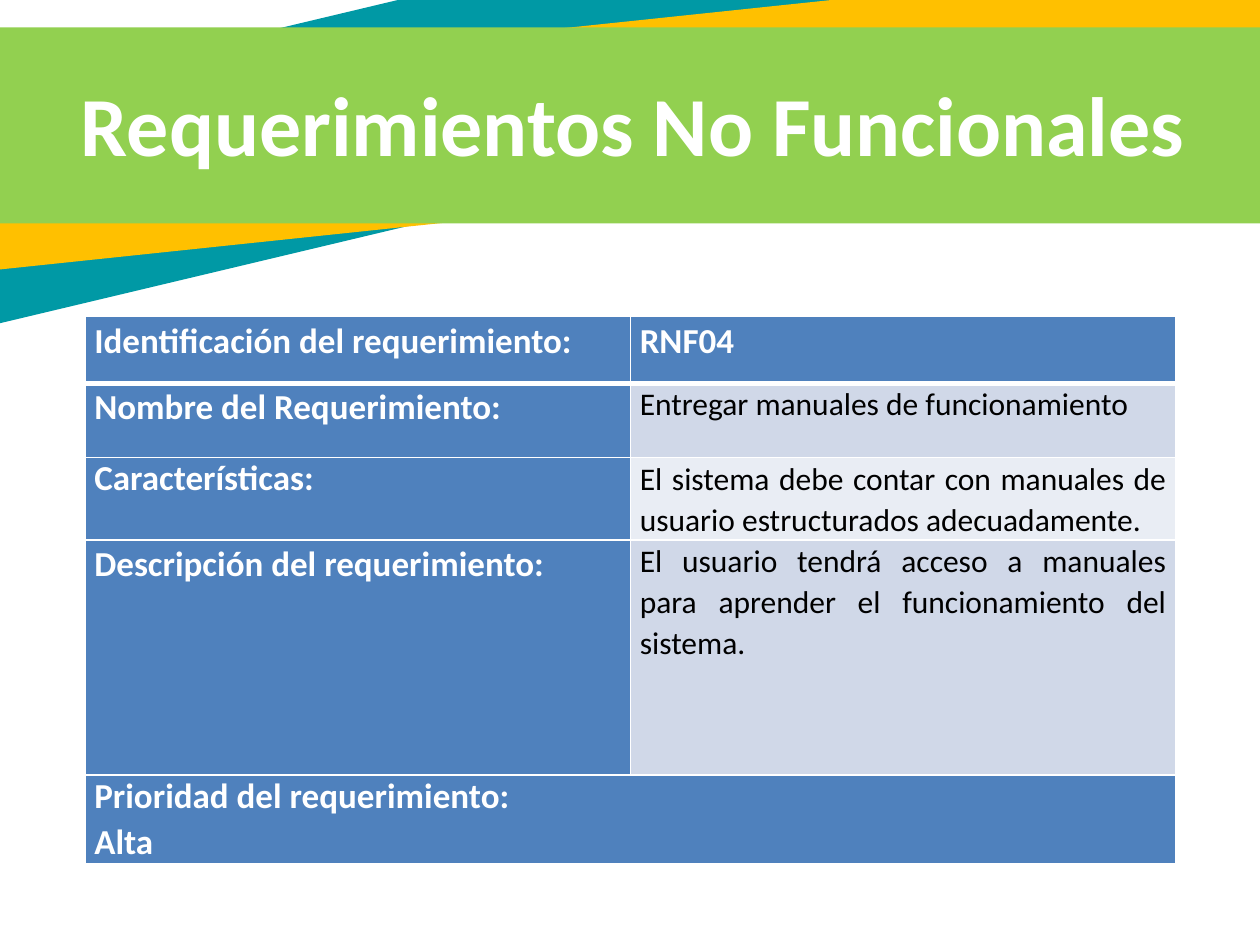
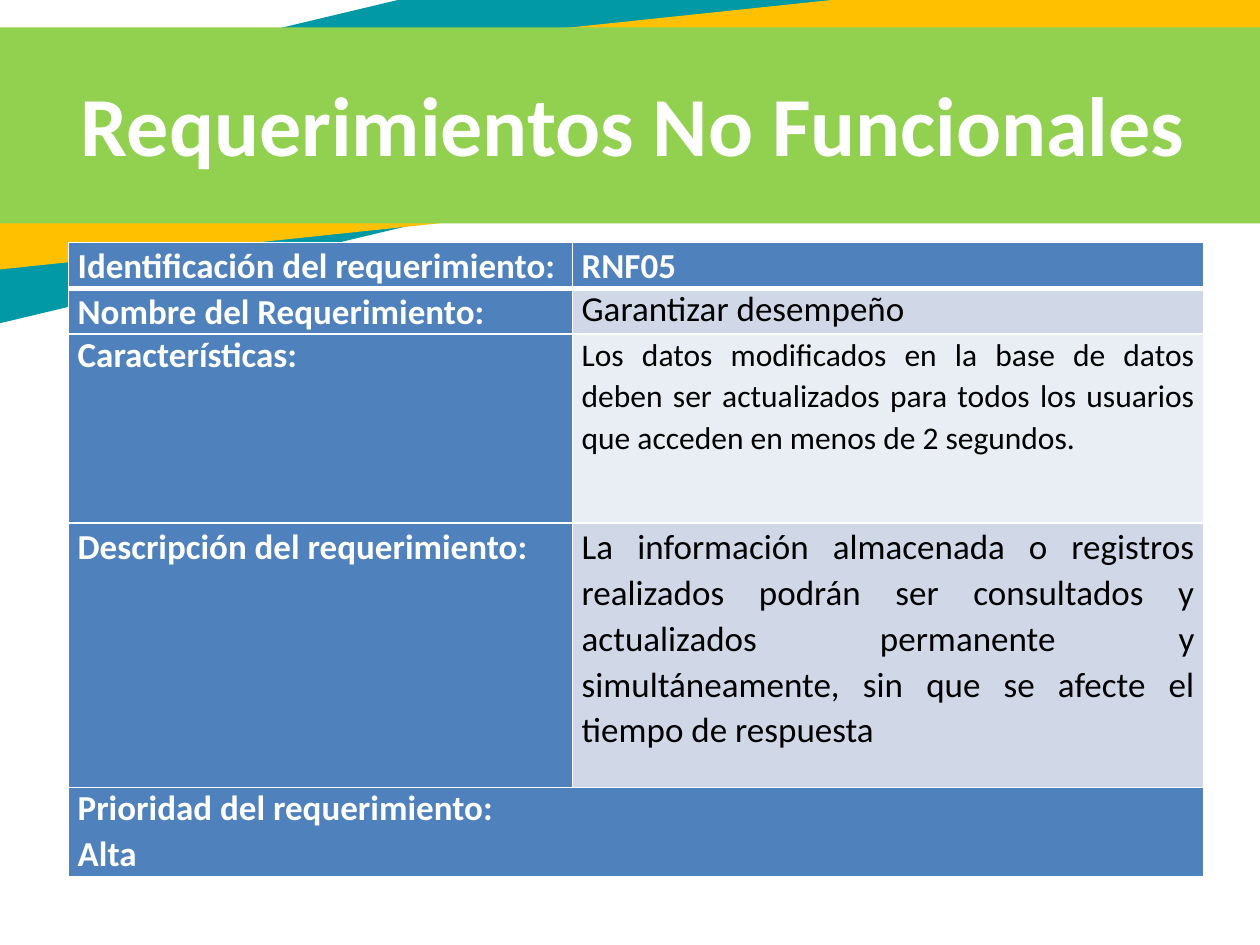
"""Build two slides that tabulate non-functional requirements."""
import pptx
import pptx.dml.color
import pptx.enum.shapes
import pptx.enum.text
import pptx.oxml
import pptx.oxml.ns
import pptx.util

Pt = pptx.util.Pt
ALIGN = pptx.enum.text.PP_ALIGN

COLORS = {
    "teal": "0099A5",
    "amber": "FFC000",
    "green": "92D050",
    "label": "4F81BD",
    "odd": "D0D8E8",
    "even": "E9EDF4",
    "white": "FFFFFF",
    "black": "000000",
}
BANDS = [
    ("teal", (-180.5, -13, 940, 127), 346.6),
    ("amber", (-79, 14.5, 837.5, 103.5), 354),
    ("green", (-76.5, 15.7, 837.5, 112), 0),
]
TITLE = "Requerimientos No Funcionales"
LABELS = [
    ("Identificación del requerimiento:", 1.07),
    ("Nombre del Requerimiento:", 1.07),
    ("Características:", 1),
    ("Descripción del requerimiento:", 1.07),
]
PRIORITY = [("Prioridad del requerimiento:", 1), ("Alta", 1.07)]
REQUIREMENTS = [
    {
        "position": (48.5, 181),
        "columns": (311.7, 311.7),
        "rows": (38, 42.5, 47, 134.5, 50.8),
        "code": "RNF04",
        "values": [
            ("Entregar manuales de funcionamiento", 18, 1.07),
            ("El sistema debe contar con manuales de usuario estructurados "
             "adecuadamente.", 18, 1.07),
            ("El usuario tendrá acceso a manuales para aprender el "
             "funcionamiento del sistema.", 18, 1.07),
        ],
    },
    {
        "position": (39, 138.5),
        "columns": (288, 361),
        "rows": (26, 25.5, 108, 151, 50.8),
        "code": "RNF05",
        "values": [
            ("Garantizar desempeño", 20, 1),
            ("Los datos modificados en la base de datos deben ser actualizados "
             "para todos los usuarios que acceden en menos de 2 segundos.",
             18, 1.07),
            ("La información almacenada o registros realizados podrán ser "
             "consultados y actualizados permanente y simultáneamente, sin que "
             "se afecte el tiempo de respuesta", 20, 1.07),
        ],
    },
]


def rgb(color):
    """Return the named colour as an RGB value."""
    return pptx.dml.color.RGBColor.from_string(COLORS[color])


def apply(target, **formats):
    """Set each format value on the target."""
    for name, value in formats.items():
        setattr(target, name, value)


class Deck:
    """Hold the shared style and the slide being built."""

    def __init__(self):
        """Start a presentation in 4:3 format."""
        self.presentation = pptx.Presentation()
        apply(self.presentation, slide_width=Pt(720), slide_height=Pt(540))
        self.layout = self.presentation.slide_layouts[5]
        self.slide = None

    def add_slide(self):
        """Open a new slide with a title."""
        self.slide = self.presentation.slides.add_slide(self.layout)

    def share_bands(self):
        """Draw the header bands and move them to the layout."""
        for depth, (color, box, rotation) in enumerate(BANDS):
            band = self.slide.shapes.add_shape(
                pptx.enum.shapes.MSO_SHAPE.RECTANGLE, *map(Pt, box))
            band.rotation = rotation
            band.shadow.inherit = False
            band.fill.solid()
            band.fill.fore_color.rgb = rgb(color)
            band.line.fill.background()
            self.layout.shapes.element.insert(2 + depth, band.element)

    def title(self, text):
        """Place and format the slide title."""
        heading = self.slide.shapes.title
        apply(heading, left=Pt(39), top=Pt(35.5), width=Pt(760), height=Pt(70))
        apply(heading.text_frame, word_wrap=True,
              auto_size=pptx.enum.text.MSO_AUTO_SIZE.NONE,
              vertical_anchor=pptx.enum.text.MSO_ANCHOR.MIDDLE)
        self.paragraph(heading.text_frame.paragraphs[0], text, size=48)

    def paragraph(self, paragraph, text, spacing=1, size=20, color="white",
                  bold=True, align=ALIGN.LEFT):
        """Write one formatted paragraph."""
        run = paragraph.add_run()
        run.text = text
        apply(paragraph, alignment=align, line_spacing=spacing)
        apply(run.font, name="Calibri", size=Pt(size), bold=bold)
        run.font.color.rgb = rgb(color)

    def cell(self, cell, fill, lines, top=1, bottom=1, **formats):
        """Fill a table cell, its borders and its paragraphs."""
        apply(cell, margin_left=Pt(5.4), margin_right=Pt(5.4), margin_top=0,
              margin_bottom=0)
        cell.fill.solid()
        cell.fill.fore_color.rgb = rgb(fill)
        properties = cell._tc.get_or_add_tcPr()
        borders = {"L": 1, "R": 1, "T": top, "B": bottom}
        for order, (side, width) in enumerate(borders.items()):
            properties.insert(order, pptx.oxml.parse_xml(
                f'<a:ln{side} {pptx.oxml.ns.nsdecls("a")} w="{Pt(width)}">'
                f'<a:solidFill><a:srgbClr val="{COLORS["white"]}"/>'
                f'</a:solidFill></a:ln{side}>'))
        frame = cell.text_frame
        for index, (text, spacing) in enumerate(lines):
            paragraph = frame.add_paragraph() if index else frame.paragraphs[0]
            self.paragraph(paragraph, text, spacing, **formats)

    def requirement(self, position, columns, rows, code, values):
        """Add the table that describes one requirement."""
        size = (sum(columns), sum(rows))
        table = self.slide.shapes.add_table(
            len(rows), len(columns), *map(Pt, position + size)).table
        apply(table, first_row=False, horz_banding=False)
        for column, width in zip(table.columns, columns):
            column.width = Pt(width)
        for row, height in zip(table.rows, rows):
            row.height = Pt(height)
        edges = [{"bottom": 3}, {"top": 3}, {}, {}]
        for row, (label, edge) in enumerate(zip(LABELS, edges)):
            self.cell(table.cell(row, 0), "label", [label], **edge)
        self.cell(table.cell(0, 1), "label", [(code, 1.07)], **edges[0])
        for row, (text, points, spacing) in enumerate(values, 1):
            self.cell(table.cell(row, 1), "odd" if row % 2 else "even",
                      [(text, spacing)], size=points, color="black", bold=False,
                      align=ALIGN.JUSTIFY if row > 1 else ALIGN.LEFT,
                      **edges[row])
        priority = table.cell(4, 0)
        priority.merge(table.cell(4, 1))
        self.cell(priority, "label", PRIORITY)


def main():
    """Build and save the slides."""
    deck = Deck()
    for number, requirement in enumerate(REQUIREMENTS):
        deck.add_slide()
        if number == 0:
            deck.share_bands()
        deck.title(TITLE)
        deck.requirement(**requirement)
    deck.presentation.save("out.pptx")


if __name__ == "__main__":
    main()
